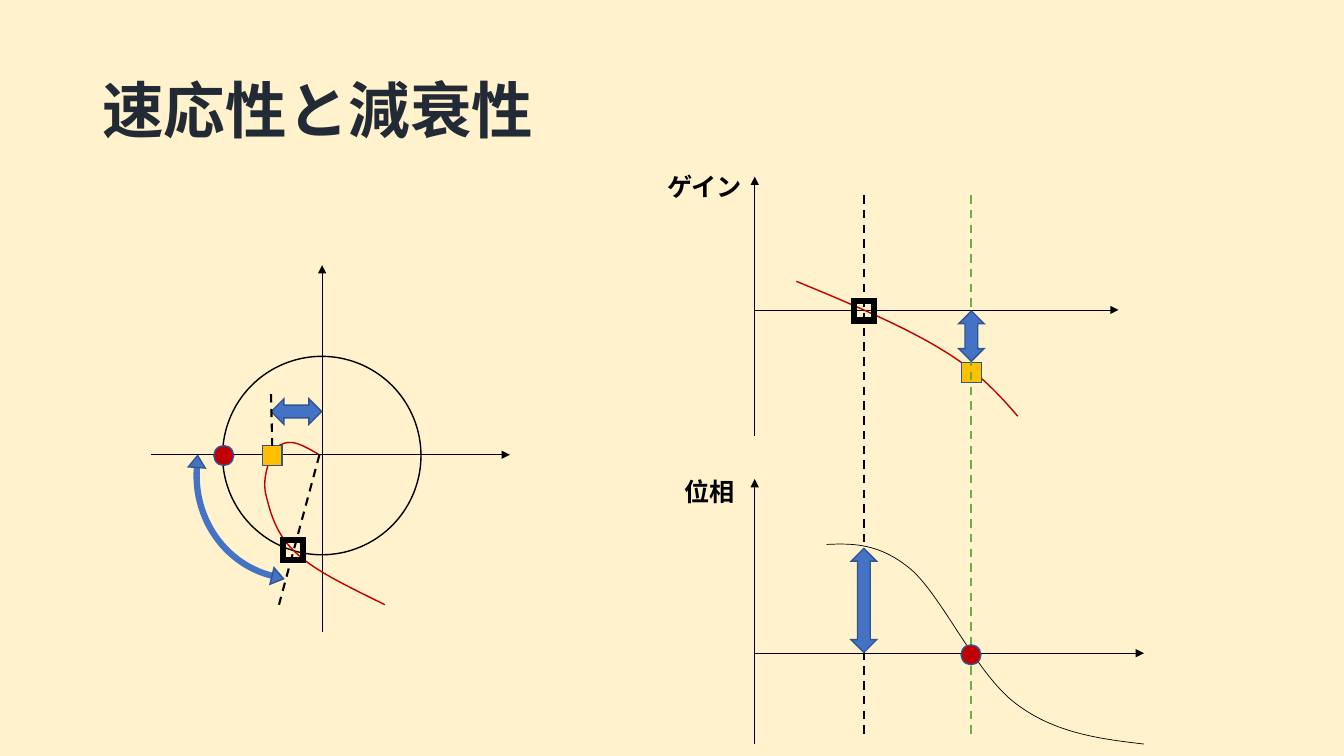
from dataclasses import dataclass
from typing import Optional

from lxml.etree import SubElement
from pptx import Presentation
from pptx.dml.color import RGBColor
from pptx.enum.dml import MSO_LINE_DASH_STYLE as Dash
from pptx.enum.shapes import MSO_CONNECTOR as ConnectorType, MSO_SHAPE as ShapeType
from pptx.enum.text import MSO_ANCHOR as Anchor
from pptx.oxml.ns import qn
from pptx.util import Cm, Pt

FONT = "Noto Sans CJK JP"
BLACK, RED, GOLD, GREEN = "000000", "C00000", "FFC000", "70AD47"
BLUE, OUTLINE = "4472C4", "325491"
MARKER_SIZE = 0.5

Point = tuple[float, float]


@dataclass
class Label:
    text: str
    left: float
    top: float
    width: float
    height: float
    size: int = 18
    color: str = BLACK
    line_spacing: float = 1.0


@dataclass
class Line:
    start: Point
    end: Point
    color: str = BLACK
    weight: float = 0.5
    arrow: bool = False
    dashed: bool = False


@dataclass
class Curve:
    points: list[Point]
    color: str
    weight: float


@dataclass
class Figure:
    kind: ShapeType
    center: Point
    width: float
    height: float
    fill: Optional[str] = None
    line: str = OUTLINE
    weight: float = 1
    rotation: float = 0


def axis(start: Point, end: Point) -> Line:
    return Line(start, end, arrow=True)


def guide(start: Point, end: Point, color: str = BLACK) -> Line:
    return Line(start, end, color, 1.5, dashed=True)


def crossover(center: Point) -> Figure:
    return Figure(ShapeType.RECTANGLE, center, MARKER_SIZE, MARKER_SIZE, None, BLACK, 4.5)


def gain_marker(center: Point) -> Figure:
    return Figure(ShapeType.RECTANGLE, center, MARKER_SIZE, MARKER_SIZE, GOLD)


def phase_marker(center: Point) -> Figure:
    return Figure(ShapeType.OVAL, center, MARKER_SIZE, MARKER_SIZE, RED)


def margin_arrow(center: Point, length: float, rotation: float) -> Figure:
    return Figure(ShapeType.LEFT_RIGHT_ARROW, center, length, 0.64, BLUE, rotation=rotation)


def arc_tip(center: Point, rotation: float) -> Figure:
    return Figure(ShapeType.ISOSCELES_TRIANGLE, center, 0.43, 0.3, BLUE, rotation=rotation)


def rgb(color: str) -> RGBColor:
    return RGBColor.from_string(color)


def style_line(shape, color: str, weight: float) -> None:
    shape.line.color.rgb = rgb(color)
    shape.line.width = Pt(weight)


def draw_label(slide, label: Label):
    box = slide.shapes.add_textbox(Cm(label.left), Cm(label.top), Cm(label.width), Cm(label.height))
    frame = box.text_frame
    frame.word_wrap = True
    frame.vertical_anchor = Anchor.MIDDLE
    frame.text = label.text
    paragraph = frame.paragraphs[0]
    paragraph.line_spacing = label.line_spacing
    font = paragraph.runs[0].font
    font.name, font.size, font.bold = FONT, Pt(label.size), True
    font.color.rgb = rgb(label.color)
    SubElement(paragraph.runs[0]._r.get_or_add_rPr(), qn("a:ea"), typeface=FONT)
    return box


def draw_line(slide, line: Line):
    connector = slide.shapes.add_connector(
        ConnectorType.STRAIGHT, *map(Cm, line.start + line.end))
    style_line(connector, line.color, line.weight)
    if line.dashed:
        connector.line.dash_style = Dash.DASH
    if line.arrow:
        SubElement(connector.line._get_or_add_ln(), qn("a:tailEnd"), type="triangle")
    SubElement(connector._element.spPr, qn("a:effectLst"))
    return connector


def bend_segments(shape) -> None:
    outline = next(shape._element.iter(qn("a:path")))
    segments = outline.findall(qn("a:lnTo"))
    for first in range(0, len(segments), 3):
        bend = SubElement(outline, qn("a:cubicBezTo"))
        for segment in segments[first:first + 3]:
            bend.append(segment[0])
            outline.remove(segment)


def draw_curve(slide, curve: Curve):
    start, *controls = [(Cm(x), Cm(y)) for x, y in curve.points]
    builder = slide.shapes.build_freeform(*start)
    builder.add_line_segments(controls, close=False)
    shape = builder.convert_to_shape()
    bend_segments(shape)
    shape.shadow.inherit = False
    shape.fill.background()
    style_line(shape, curve.color, curve.weight)
    return shape


def draw_figure(slide, figure: Figure):
    x, y = figure.center
    shape = slide.shapes.add_shape(
        figure.kind, Cm(x - figure.width / 2), Cm(y - figure.height / 2),
        Cm(figure.width), Cm(figure.height))
    shape.shadow.inherit = False
    shape.rotation = figure.rotation
    if figure.fill:
        shape.fill.solid()
        shape.fill.fore_color.rgb = rgb(figure.fill)
    else:
        shape.fill.background()
    style_line(shape, figure.line, figure.weight)
    SubElement(shape.line._get_or_add_ln(), qn("a:miter"), lim="800000")
    return shape


DRAWERS = {Label: draw_label, Line: draw_line, Curve: draw_curve, Figure: draw_figure}

TITLE = Label("速応性と減衰性", 2.33, 1.02, 29.21, 3.68, 44, "222A35", 0.9)

BODE_PLOT = [
    axis((19.02, 10.98), (19.02, 4.45)),
    axis((19.02, 7.81), (28.19, 7.81)),
    axis((19.02, 18.75), (19.02, 12.07)),
    axis((19.02, 16.46), (28.83, 16.46)),
    Curve([(20.07, 7.09), (21.44, 7.65), (22.78, 8.23), (23.7, 8.79),
           (24.64, 9.35), (25.15, 9.91), (25.65, 10.49)], RED, 1),
    Curve([(20.83, 13.72), (21.51, 13.69), (22.17, 13.69), (22.96, 14.35),
           (23.75, 15.04), (24.61, 16.99), (25.6, 17.73),
           (26.57, 18.47), (27.71, 18.62), (28.83, 18.75)], BLACK, 0.5),
    crossover((21.77, 7.83)),
    gain_marker((24.48, 9.39)),
    guide((24.48, 4.92), (24.48, 18.54), GREEN),
    guide((21.77, 4.92), (21.77, 18.54)),
    phase_marker((24.47, 16.5)),
    Label("ゲイン", 16.56, 4.19, 2.46, 1.02),
    Label("位相", 16.99, 11.87, 2.46, 1.02),
    margin_arrow((21.77, 15.13), 2.62, 90),
    margin_arrow((24.48, 8.47), 1.27, 90),
]

NYQUIST_PLOT = [
    axis((8.12, 15.93), (8.12, 6.68)),
    axis((3.81, 11.46), (12.85, 11.46)),
    Figure(ShapeType.OVAL, (8.11, 11.48), 5, 5, None, BLACK),
    Curve([(8.05, 11.46), (7.77, 11.3), (7.52, 11.15), (7.32, 11.15),
           (7.11, 11.15), (6.96, 11.23), (6.86, 11.46),
           (6.76, 11.68), (6.6, 12.09), (6.71, 12.5),
           (6.81, 12.9), (6.96, 13.49), (7.47, 13.94),
           (7.95, 14.4), (8.84, 14.81), (9.7, 15.24)], RED, 1),
    crossover((7.39, 13.86)),
    phase_marker((5.64, 11.48)),
    guide((8.05, 11.46), (7.03, 15.24)),
    margin_arrow((7.47, 10.37), 1.27, 180),
    Figure(ShapeType.ARC, (7.47, 11.94), 5.03, 5.28, None, BLUE, 4.5, 188.8),
    arc_tip((4.97, 11.63), 4.2),
    arc_tip((7, 14.55), 103.9),
]


def main() -> None:
    presentation = Presentation()
    presentation.slide_width, presentation.slide_height = Cm(33.87), Cm(19.05)
    slide = presentation.slides.add_slide(presentation.slide_layouts[6])
    slide.background.fill.solid()
    slide.background.fill.fore_color.rgb = rgb("FFF2CC")
    for item in [TITLE, *BODE_PLOT, *NYQUIST_PLOT]:
        DRAWERS[type(item)](slide, item)
    gain_point = draw_figure(slide, gain_marker((6.86, 11.48)))
    gain_guide = draw_line(slide, guide((6.83, 9.93), (6.86, 11.23)))
    gain_guide.end_connect(gain_point, 0)
    presentation.save("out.pptx")


if __name__ == "__main__":
    main()
